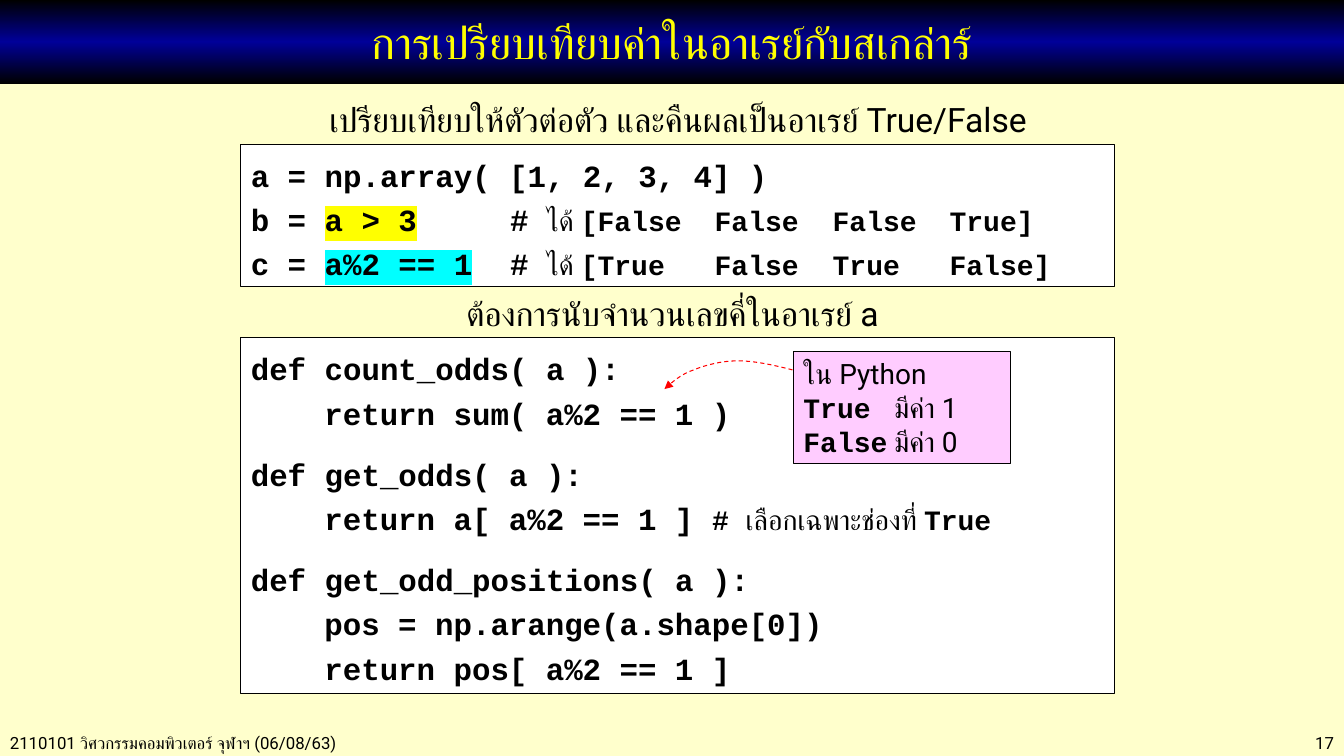
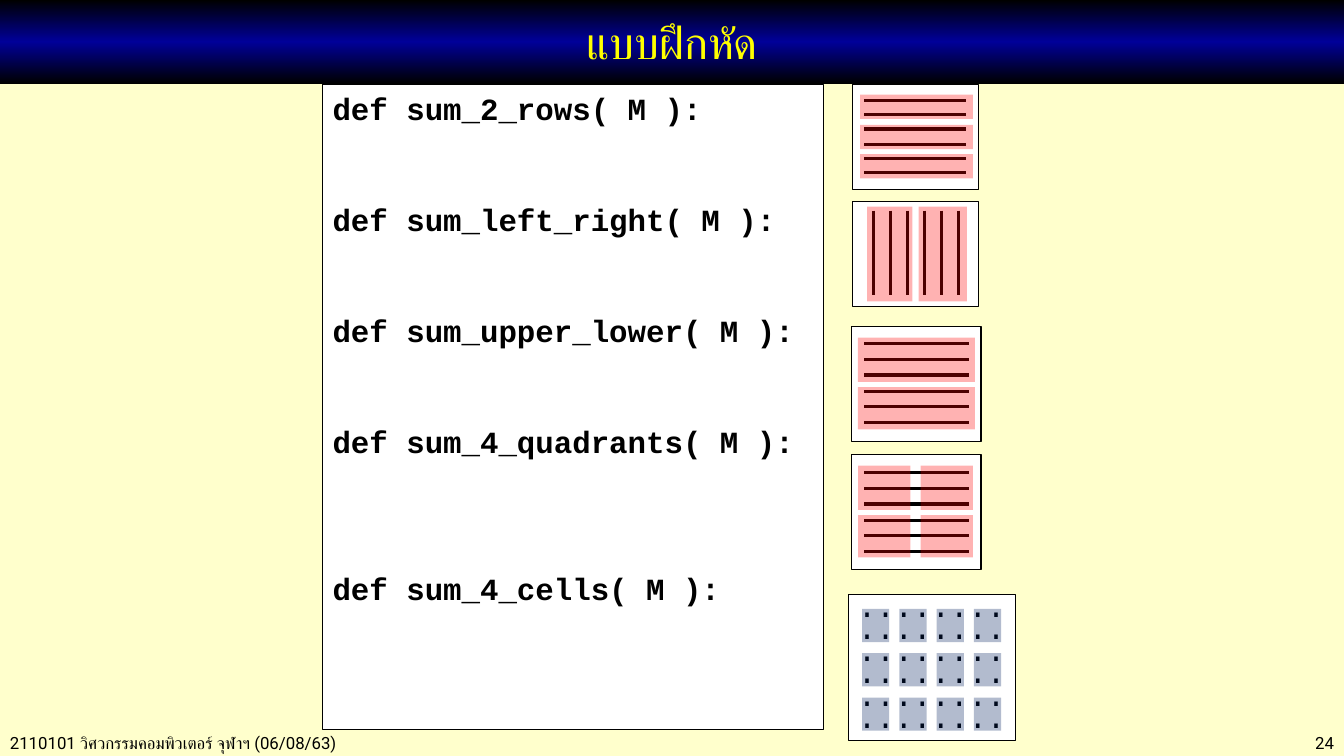
"""Build two lecture slides on NumPy array comparison and matrix exercises."""
from dataclasses import dataclass

from lxml.etree import SubElement
from pptx import Presentation
from pptx.dml.color import RGBColor
from pptx.enum.dml import MSO_LINE
from pptx.enum.shapes import MSO_CONNECTOR as CONNECTOR, MSO_SHAPE as SHAPE
from pptx.enum.text import MSO_ANCHOR as ANCHOR, PP_ALIGN as ALIGN
from pptx.oxml.ns import qn
from pptx.util import Pt

PX = 9144
COLORS = {
    "page": "FFFFCC", "black": "000000", "navy": "000099", "title": "FFFF00",
    "paper": "FFFFFF", "note": "FFCCFF", "red": "FF0000", "slate": "002060",
    "yellow": "FFFF00", "cyan": "00FFFF",
}
PROSE, CODE = "Roboto", "Courier New"
FOOTER = "2110101 วิศวกรรมคอมพิวเตอร์ จุฬาฯ (06/08/63)"
CODE_INDENT = 73
COMMENT_TABS = (257, 460, 577, 693)
BLANK_LINE = 26.4


@dataclass
class Run:
    text: str
    size: int = 22
    font: str = CODE
    bold: bool = True
    color: str = "black"
    highlight: str = ""


@dataclass
class Line:
    runs: list
    indent: int = 0
    after: float = 0
    tabs: tuple = ()
    spacing: float = 1.0
    align: ALIGN = ALIGN.LEFT


def rgb(name):
    return RGBColor.from_string(COLORS[name])


def prose(text, size, color="black"):
    return Run(text, size, PROSE, False, color)


def add_run(paragraph, part):
    run = paragraph.add_run()
    run.text = part.text
    font = run.font
    font.size, font.name, font.bold = Pt(part.size), part.font, part.bold
    font.color.rgb = rgb(part.color)
    props = run._r.get_or_add_rPr()
    thai = SubElement(props, qn("a:cs"))
    thai.set("typeface", PROSE)
    if part.highlight:
        marker = SubElement(props, qn("a:highlight"))
        SubElement(marker, qn("a:srgbClr")).set("val", COLORS[part.highlight])
        props.find(qn("a:solidFill")).addnext(marker)


def write(shape, lines, anchor=ANCHOR.TOP):
    frame = shape.text_frame
    frame.word_wrap = True
    frame.vertical_anchor = anchor
    for index, line in enumerate(lines):
        paragraph = frame.add_paragraph() if index else frame.paragraphs[0]
        paragraph.alignment = line.align
        paragraph.line_spacing = line.spacing
        paragraph.space_after = Pt(line.after)
        props = paragraph._p.get_or_add_pPr()
        props.set("marL", str(line.indent * PX))
        if line.tabs:
            stops = SubElement(props, qn("a:tabLst"))
            for position in line.tabs:
                stop = SubElement(stops, qn("a:tab"))
                stop.set("pos", str(position * PX))
                stop.set("algn", "l")
        for part in line.runs:
            add_run(paragraph, part)


def add_label(slide, box, lines, anchor=ANCHOR.TOP):
    label = slide.shapes.add_textbox(*(n * PX for n in box))
    write(label, lines, anchor)


def add_panel(slide, box, fill="paper", outlined=True, opacity=100):
    panel = slide.shapes.add_shape(SHAPE.RECTANGLE, *(n * PX for n in box))
    panel.shadow.inherit = False
    panel.fill.solid()
    panel.fill.fore_color.rgb = rgb(fill)
    if opacity < 100:
        tint = panel._element.spPr.find(".//" + qn("a:srgbClr"))
        SubElement(tint, qn("a:alpha")).set("val", str(opacity * 1000))
    if outlined:
        panel.line.color.rgb = rgb("black")
        panel.line.width = Pt(0.75)
    else:
        panel.line.fill.background()
    return panel


def add_title_band(slide, title):
    band = add_panel(slide, (0, 0, 1333, 83), outlined=False)
    band.fill.gradient()
    band.fill.gradient_angle = 90
    stops = band._element.spPr.find(".//" + qn("a:gsLst"))
    stops.clear()
    for percent, color in ((0, "black"), (50, "navy"), (100, "black")):
        stop = SubElement(stops, qn("a:gs"))
        stop.set("pos", str(percent * 1000))
        SubElement(stop, qn("a:srgbClr")).set("val", COLORS[color])
    write(band, [Line([prose(title, 32, "title")], align=ALIGN.CENTER)], ANCHOR.MIDDLE)


def start_slide(deck, title, number):
    slide = deck.slides.add_slide(deck.slide_layouts[6])
    slide.background.fill.solid()
    slide.background.fill.fore_color.rgb = rgb("page")
    add_label(slide, (0, 722, 520, 30), [Line([prose(FOOTER, 12)])], ANCHOR.MIDDLE)
    add_label(slide, (1150, 722, 183, 30),
              [Line([prose(number, 12)], align=ALIGN.RIGHT)], ANCHOR.MIDDLE)
    add_title_band(slide, title)
    return slide


def add_heading(slide, box, text):
    add_label(slide, box, [Line([prose(text, 24)], align=ALIGN.CENTER)])


def code_line(*parts, **layout):
    runs = [Run(part) if isinstance(part, str) else part for part in parts]
    return Line(runs, spacing=1.2, **layout)


def comparison_line(name, expression, marker, values):
    return code_line(f"{name} = ", Run(expression, highlight=marker), "\t# ",
                     prose("ได้ ", 20), Run("[" + "\t".join(values) + "]", 20),
                     tabs=COMMENT_TABS)


def body_line(*parts, **layout):
    return code_line(*parts, indent=CODE_INDENT, **layout)


def add_curved_arrow(slide, start, curves, steps=8):
    points = [start]
    for bend, pull, end in curves:
        origin = points[-1]
        for step in range(1, steps + 1):
            t = step / steps
            weights = ((1 - t) ** 3, 3 * t * (1 - t) ** 2, 3 * t * t * (1 - t), t ** 3)
            points.append(tuple(
                sum(w * p[axis] for w, p in zip(weights, (origin, bend, pull, end)))
                for axis in (0, 1)))
    scaled = [(x * PX, y * PX) for x, y in points]
    builder = slide.shapes.build_freeform(*scaled[0])
    builder.add_line_segments(scaled[1:], close=False)
    arrow = builder.convert_to_shape()
    arrow.shadow.inherit = False
    arrow.fill.background()
    arrow.line.color.rgb = rgb("red")
    arrow.line.width = Pt(0.75)
    arrow.line.dash_style = MSO_LINE.DASH
    outline = arrow._element.spPr.find(qn("a:ln"))
    SubElement(outline, qn("a:tailEnd")).set("type", "triangle")


def add_stroke(slide, ends):
    stroke = slide.shapes.add_connector(CONNECTOR.STRAIGHT, *(n * PX for n in ends))
    stroke.line.color.rgb = rgb("black")
    stroke.line.width = Pt(2.25)
    SubElement(stroke._element.spPr, qn("a:effectLst"))


def add_stripe_card(slide, frame, across, along, tints, vertical=False):
    add_panel(slide, frame)
    near, far = across
    first, last = along
    for index in range(6):
        at = first + round((last - first) * index / 5)
        add_stroke(slide, (at, near, at, far) if vertical else (near, at, far, at))
    for tint in tints:
        add_panel(slide, tint, "red", outlined=False, opacity=30)


def add_dot_card(slide):
    add_panel(slide, (842, 590, 165, 145))
    dots = Line([Run("." * 8, bold=False)], spacing=0.6)
    add_label(slide, (841, 590, 179, 145), [dots] * 6)
    for row in range(3):
        for column in range(4):
            add_panel(slide, (855 + 37 * column, 604 + 44 * row, 27, 33),
                      "slate", outlined=False, opacity=30)


def build_comparison(deck):
    slide = start_slide(deck, "การเปรียบเทียบค่าในอาเรย์กับสเกล่าร์", "17")
    write(add_panel(slide, (239, 143, 866, 141)), [
        code_line("a = np.array( [1, 2, 3, 4] )"),
        comparison_line("b", "a > 3", "yellow", ("False", "False", "False", "True")),
        comparison_line("c", "a%2 == 1", "cyan", ("True", "False", "True", "False")),
    ])
    write(add_panel(slide, (239, 335, 866, 353)), [
        code_line("def count_odds( a ):"),
        body_line("return sum( a%2 == 1 )", after=12),
        code_line("def get_odds( a ):"),
        body_line("return a[ a%2 == 1 ] ", Run("# ", 20),
                  prose("เลือกเฉพาะช่องที่ ", 20), Run("True", 20), after=12),
        code_line("def get_odd_positions( a ):"),
        body_line("pos = np.arange(a.shape[0])"),
        body_line("return pos[ a%2 == 1 ]"),
    ])
    add_heading(slide, (404, 286, 526, 50), "ต้องการนับจำนวนเลขคี่ในอาเรย์ a")
    add_heading(slide, (239, 93, 867, 50),
                "เปรียบเทียบให้ตัวต่อตัว และคืนผลเป็นอาเรย์ True/False")
    truth_values = [Line([Run(word, 20), prose("\t" + meaning, 20)], tabs=(90,))
                    for word, meaning in (("True", "มีค่า 1"), ("False", "มีค่า 0"))]
    write(add_panel(slide, (787, 349, 215, 111), "note"),
          [Line([prose("ใน Python", 20)]), *truth_values])
    add_curved_arrow(slide, (786, 367), (
        ((767, 362), (748, 358), (732, 358)),
        ((716, 358), (700, 362), (688, 367)),
        ((676, 371), (668, 378), (659, 386)),
    ))


def build_exercises(deck):
    slide = start_slide(deck, "แบบฝึกหัด", "24")
    exercises = (("sum_2_rows", 2), ("sum_left_right", 2), ("sum_upper_lower", 2),
                 ("sum_4_quadrants", 3), ("sum_4_cells", 0))
    write(add_panel(slide, (320, 84, 497, 640)),
          [Line([Run(f"def {name}( M ):")], after=BLANK_LINE * answer_lines)
           for name, answer_lines in exercises])
    add_stripe_card(slide, (846, 84, 125, 104), (857, 958), (100, 171),
                    [(853, top, 112, 24) for top in (94, 124, 153)])
    add_stripe_card(slide, (846, 200, 125, 104), (209, 293), (866, 951),
                    [(860, 205, 45, 94), (911, 205, 48, 94)], vertical=True)
    add_stripe_card(slide, (845, 324, 128, 114), (857, 961), (341, 419),
                    [(851, 335, 116, 44), (851, 384, 116, 42)])
    add_stripe_card(slide, (845, 451, 128, 114), (857, 961), (469, 547),
                    [(left, top, 52, height) for left in (851, 913)
                     for top, height in ((462, 44), (511, 42))])
    add_dot_card(slide)


def main():
    deck = Presentation()
    deck.slide_width, deck.slide_height = 1333 * PX, 750 * PX
    build_comparison(deck)
    build_exercises(deck)
    deck.save("out.pptx")


if __name__ == "__main__":
    main()
